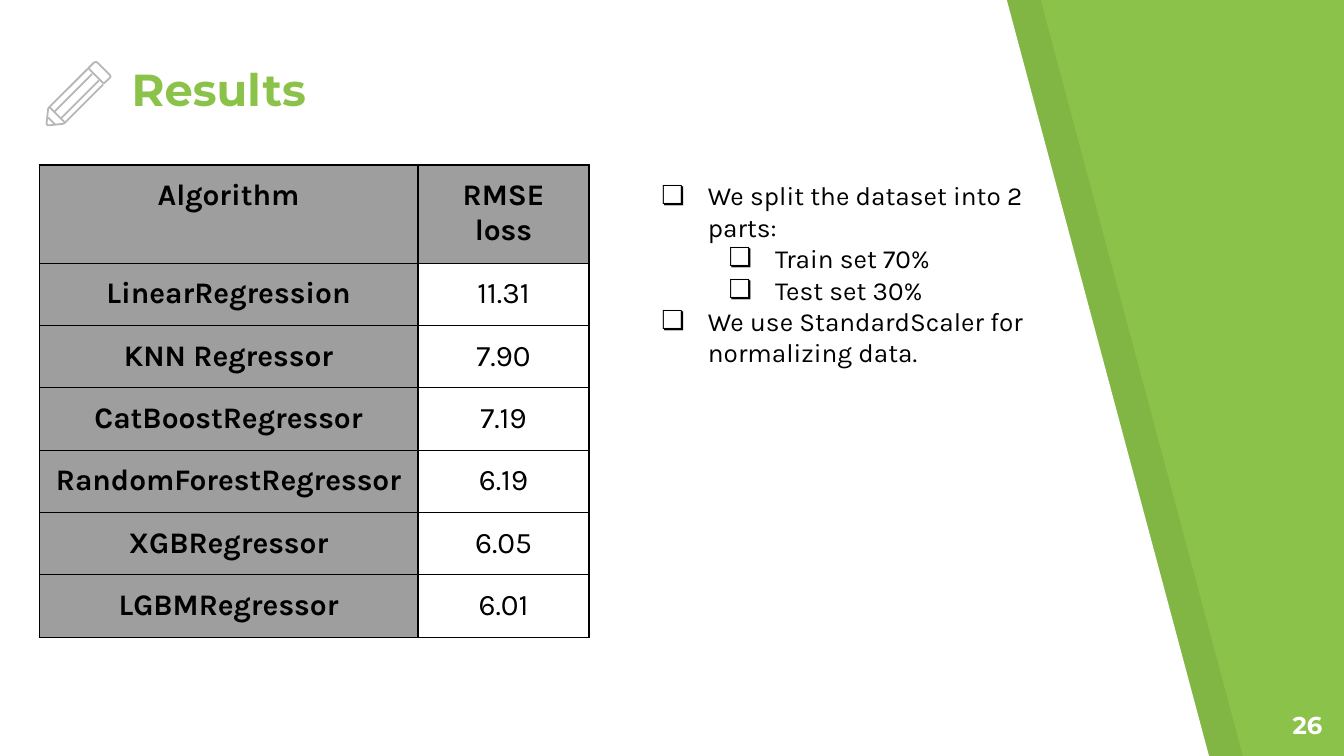
import lxml.etree
import pptx
import pptx.dml.color
import pptx.enum.shapes
import pptx.enum.text
import pptx.oxml.ns
import pptx.util

Cm = pptx.util.Cm
Pt = pptx.util.Pt
RGBColor = pptx.dml.color.RGBColor
Align = pptx.enum.text.PP_ALIGN
Anchor = pptx.enum.text.MSO_ANCHOR
qn = pptx.oxml.ns.qn

GREEN = RGBColor(0x8B, 0xC3, 0x4A)
WHITE = RGBColor(0xFF, 0xFF, 0xFF)
BLACK = RGBColor(0, 0, 0)
HEADER_GRAY = RGBColor(0x9E, 0x9E, 0x9E)
PENCIL_GRAY = RGBColor(0xB7, 0xB7, 0xB7)

HEADING_FONT = "Montserrat"
BODY_FONT = "Karla"
INSET = Cm(0.25)

RESULTS = [
    ("Algorithm", "RMSE loss"),
    ("LinearRegression", "11.31"),
    ("KNN Regressor", "7.90"),
    ("CatBoostRegressor", "7.19"),
    ("RandomForestRegressor", "6.19"),
    ("XGBRegressor", "6.05"),
    ("LGBMRegressor", "6.01"),
]
NOTES = [
    (0, "We split the dataset into 2 parts:"),
    (1, "Train set 70%"),
    (1, "Test set 30%"),
    (0, "We use StandardScaler for normalizing data."),
]

# Pencil outlines and strokes, in centimetres on the slide
PENCIL_ERASER = [(2.08, 1.42), (1.85, 1.19), (1.81, 1.17), (1.77, 1.19),
                 (1.67, 1.29), (1.96, 1.58), (2.08, 1.47), (2.09, 1.45)]
PENCIL_BODY = [(1.66, 1.3), (0.93, 2.03), (0.91, 2.06), (0.88, 2.34),
               (0.9, 2.37), (0.93, 2.37), (1.2, 2.34), (1.23, 2.32),
               (1.95, 1.6)]
PENCIL_STROKES = [
    ((1.87, 1.52), (1.15, 2.24)),
    ((1.74, 1.4), (1.03, 2.11)),
    ((1.04, 2.35), (0.91, 2.22)),
    ((0.94, 2.03), (1.22, 2.31)),
]


def add_outline(shapes, points, closed=True):
    """Add a freeform through points given in centimetres."""
    start, *others = [(Cm(x), Cm(y)) for x, y in points]
    builder = shapes.build_freeform(*start)
    builder.add_line_segments(others, close=closed)
    shape = builder.convert_to_shape()
    shape.shadow.inherit = False
    return shape


def add_panel(slide, left, color, opacity=100):
    """Add a slanted panel that covers the left part of the slide."""
    points = [(left, -0.03), (left, 14.33), (left + 22.86, 14.33),
              (left + 19.02, -0.03)]
    shape = add_outline(slide.shapes, points)
    shape.fill.solid()
    shape.fill.fore_color.rgb = color
    shape.line.fill.background()
    if opacity < 100:
        color_element = shape._element.spPr.find(".//" + qn("a:srgbClr"))
        lxml.etree.SubElement(color_element, qn("a:alpha"), val=str(opacity * 1000))


def style_pencil_line(shape):
    shape.line.color.rgb = PENCIL_GRAY
    shape.line.width = Pt(0.96)


def add_pencil(slide):
    shapes = slide.shapes.add_group_shape().shapes
    for points, closed in ((PENCIL_ERASER, True), (PENCIL_BODY, False)):
        shape = add_outline(shapes, points, closed)
        shape.fill.background()
        style_pencil_line(shape)
    for start, end in PENCIL_STROKES:
        connector = shapes.add_connector(
            pptx.enum.shapes.MSO_CONNECTOR.STRAIGHT,
            *(Cm(value) for value in start + end))
        style_pencil_line(connector)
        lxml.etree.SubElement(connector._element.spPr, qn("a:effectLst"))


def add_run(paragraph, text, font_name, size, color, bold=False):
    run = paragraph.add_run()
    run.text = text
    run.font.name = font_name
    run.font.size = Pt(size)
    run.font.bold = bold
    run.font.color.rgb = color


def set_insets(target):
    """Give a text frame or a table cell the same inset on every side."""
    target.margin_left = target.margin_right = INSET
    target.margin_top = target.margin_bottom = INSET


def add_text_frame(slide, left, top, width, height, anchor=Anchor.TOP):
    box = slide.shapes.add_textbox(Cm(left), Cm(top), Cm(width), Cm(height))
    frame = box.text_frame
    frame.word_wrap = True
    frame.vertical_anchor = anchor
    set_insets(frame)
    return frame


def add_heading(slide, text, size, color, place, align, anchor):
    paragraph = add_text_frame(slide, *place, anchor).paragraphs[0]
    paragraph.alignment = align
    add_run(paragraph, text, HEADING_FONT, size, color, bold=True)


def add_bullet(paragraph, level):
    paragraph.level = level
    properties = paragraph._p.get_or_add_pPr()
    properties.set("marL", str(Cm(1.27 * (level + 1))))
    properties.set("indent", str(Cm(-0.88)))
    color = lxml.etree.SubElement(properties, qn("a:buClr"))
    lxml.etree.SubElement(color, qn("a:srgbClr"), val=str(BLACK))
    lxml.etree.SubElement(properties, qn("a:buFont"), typeface=BODY_FONT)
    lxml.etree.SubElement(properties, qn("a:buChar"), char="❏")


def add_notes_list(slide):
    frame = add_text_frame(slide, 11.86, 3.15, 7.8, 4.11)
    for index, (level, text) in enumerate(NOTES):
        paragraph = frame.add_paragraph() if index else frame.paragraphs[0]
        add_bullet(paragraph, level)
        add_run(paragraph, text, BODY_FONT, 14, BLACK)


def add_borders(cell):
    properties = cell._tc.get_or_add_tcPr()
    for side in ("lnL", "lnR", "lnT", "lnB"):
        line = lxml.etree.SubElement(properties, qn("a:" + side), w=str(Pt(0.75)))
        fill = lxml.etree.SubElement(line, qn("a:solidFill"))
        lxml.etree.SubElement(fill, qn("a:srgbClr"), val=str(BLACK))


def add_results_table(slide):
    widths = (7.16, 3.23)
    heights = [1.83] + [1.17] * (len(RESULTS) - 1)
    table = slide.shapes.add_table(
        len(RESULTS), len(widths), Cm(0.74), Cm(3.12),
        Cm(sum(widths)), Cm(sum(heights))).table
    table.first_row = table.horz_banding = False
    for column, width in zip(table.columns, widths):
        column.width = Cm(width)
    for row_index, (row, height) in enumerate(zip(table.rows, heights)):
        row.height = Cm(height)
        for column_index, cell in enumerate(row.cells):
            is_header = row_index == 0 or column_index == 0
            add_borders(cell)
            set_insets(cell)
            if is_header:
                cell.fill.solid()
                cell.fill.fore_color.rgb = HEADER_GRAY
            else:
                cell.fill.background()
            paragraph = cell.text_frame.paragraphs[0]
            paragraph.alignment = Align.CENTER
            add_run(paragraph, RESULTS[row_index][column_index], BODY_FONT, 16,
                    BLACK, bold=is_header)


def main():
    presentation = pptx.Presentation()
    presentation.slide_width = Cm(25.4)
    presentation.slide_height = Cm(14.29)
    slide = presentation.slides.add_slide(presentation.slide_layouts[6])
    slide.background.fill.solid()
    slide.background.fill.fore_color.rgb = GREEN

    add_panel(slide, 0.64, BLACK, opacity=7)
    add_panel(slide, 0, WHITE)
    add_heading(slide, "26", 13, WHITE, (23.72, 13.18, 1.52, 1.09),
                Align.RIGHT, Anchor.TOP)
    add_heading(slide, "Results", 24, GREEN, (2.24, 1.09, 14.78, 1.35),
                Align.LEFT, Anchor.BOTTOM)
    add_pencil(slide)
    add_results_table(slide)
    add_notes_list(slide)
    presentation.save("out.pptx")


if __name__ == "__main__":
    main()
